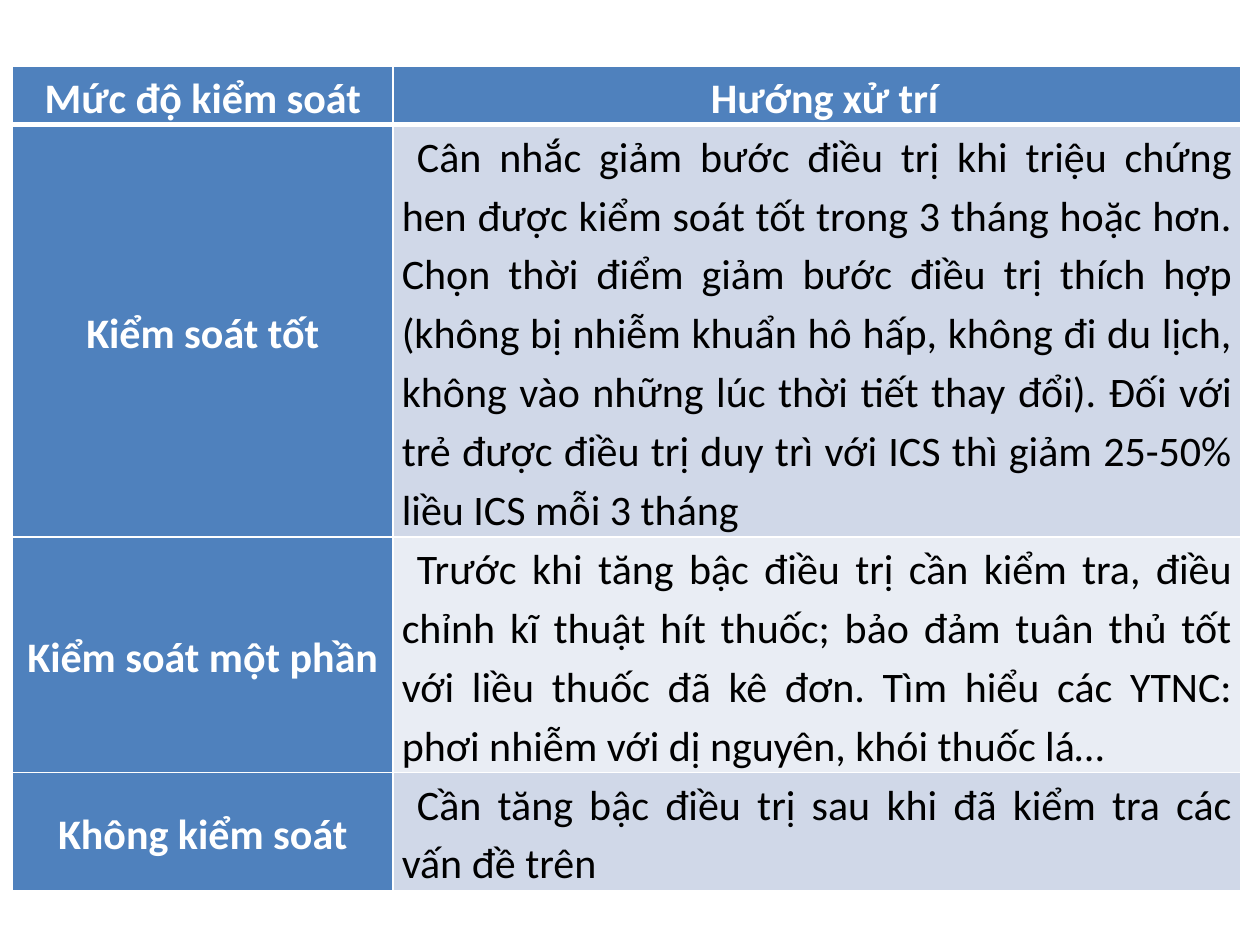
from lxml import etree
from pptx import Presentation
from pptx import util as u
from pptx.dml.color import RGBColor
from pptx.enum import text
from pptx.oxml import ns

WHITE = RGBColor(0xFF, 0xFF, 0xFF)
BLACK = RGBColor(0, 0, 0)
BLUE = RGBColor(0x4F, 0x81, 0xBD)
BAND_DARK = RGBColor(0xD0, 0xD8, 0xE8)
BAND_LIGHT = RGBColor(0xE9, 0xED, 0xF4)

LINE_HEIGHT = 33.5
COLUMN_WIDTHS = (217.4, 484.6)
HEADINGS = ("Mức độ kiểm soát", "Hướng xử trí")
LEVELS = (
    ("Kiểm soát tốt",
     "Cân nhắc giảm bước điều trị khi triệu chứng hen được kiểm soát tốt "
     "trong 3 tháng hoặc hơn. Chọn thời điểm giảm bước điều trị thích hợp "
     "(không bị nhiễm khuẩn hô hấp, không đi du lịch, không vào những lúc "
     "thời tiết thay đổi). Đối với trẻ được điều trị duy trì với ICS thì "
     "giảm 25-50% liều ICS mỗi 3 tháng", 7),
    ("Kiểm soát một phần",
     "Trước khi tăng bậc điều trị cần kiểm tra, điều chỉnh kĩ thuật hít "
     "thuốc; bảo đảm tuân thủ tốt với liều thuốc đã kê đơn. Tìm hiểu các "
     "YTNC: phơi nhiễm với dị nguyên, khói thuốc lá…", 4),
    ("Không kiểm soát",
     "Cần tăng bậc điều trị sau khi đã kiểm tra các vấn đề trên", 2),
)


def set_borders(cell, top=1, bottom=1):
    properties = cell._tc.get_or_add_tcPr()
    sides = (("lnL", 1), ("lnR", 1), ("lnT", top), ("lnB", bottom))
    for position, (side, width) in enumerate(sides):
        line = etree.Element(ns.qn(f"a:{side}"), w=str(u.Pt(width)))
        fill = etree.SubElement(line, ns.qn("a:solidFill"))
        etree.SubElement(fill, ns.qn("a:srgbClr"), val=str(WHITE))
        properties.insert(position, line)


def fill_cell(cell, wording, background, color=WHITE, bold=True,
              align=text.PP_ALIGN.CENTER, anchor=text.MSO_ANCHOR.MIDDLE,
              indent=0):
    cell.fill.solid()
    cell.fill.fore_color.rgb = background
    cell.margin_left = cell.margin_right = u.Pt(5)
    cell.margin_top = cell.margin_bottom = u.Pt(0)
    cell.vertical_anchor = anchor
    paragraph = cell.text_frame.paragraphs[0]
    paragraph.alignment = align
    paragraph.line_spacing = 1.15
    if indent:
        properties = paragraph._p.get_or_add_pPr()
        properties.set("marL", "0")
        properties.set("indent", str(u.Pt(indent)))
    run = paragraph.add_run()
    run.text = wording
    run.font.name = "Calibri"
    run.font.size = u.Pt(24)
    run.font.bold = bold
    run.font.color.rgb = color


def add_heading(cell, wording, indent):
    fill_cell(cell, wording, BLUE, anchor=text.MSO_ANCHOR.TOP, indent=indent)
    set_borders(cell, bottom=3)


def add_level(table, row, level, advice):
    fill_cell(table.cell(row, 0), level, BLUE)
    fill_cell(table.cell(row, 1), advice, BAND_DARK if row % 2 else BAND_LIGHT,
              BLACK, False, text.PP_ALIGN.JUSTIFY, text.MSO_ANCHOR.TOP, 8.64)
    for cell in table.rows[row].cells:
        set_borders(cell, top=3 if row == 1 else 1)


def add_treatment_table(slide):
    line_counts = [1] + [lines for _, _, lines in LEVELS]
    table = slide.shapes.add_table(
        len(line_counts), len(COLUMN_WIDTHS), u.Pt(7.2), u.Pt(37.6),
        u.Pt(sum(COLUMN_WIDTHS)), u.Pt(LINE_HEIGHT * sum(line_counts))).table
    for column, width in zip(table.columns, COLUMN_WIDTHS):
        column.width = u.Pt(width)
    for row, lines in zip(table.rows, line_counts):
        row.height = u.Pt(LINE_HEIGHT * lines)
    for cell, heading, indent in zip(table.rows[0].cells, HEADINGS, (0, 8.64)):
        add_heading(cell, heading, indent)
    for row, (level, advice, _) in enumerate(LEVELS, 1):
        add_level(table, row, level, advice)


def main():
    deck = Presentation()
    deck.slide_width, deck.slide_height = u.Pt(720), u.Pt(540)
    add_treatment_table(deck.slides.add_slide(deck.slide_layouts[6]))
    deck.save("out.pptx")


if __name__ == "__main__":
    main()
